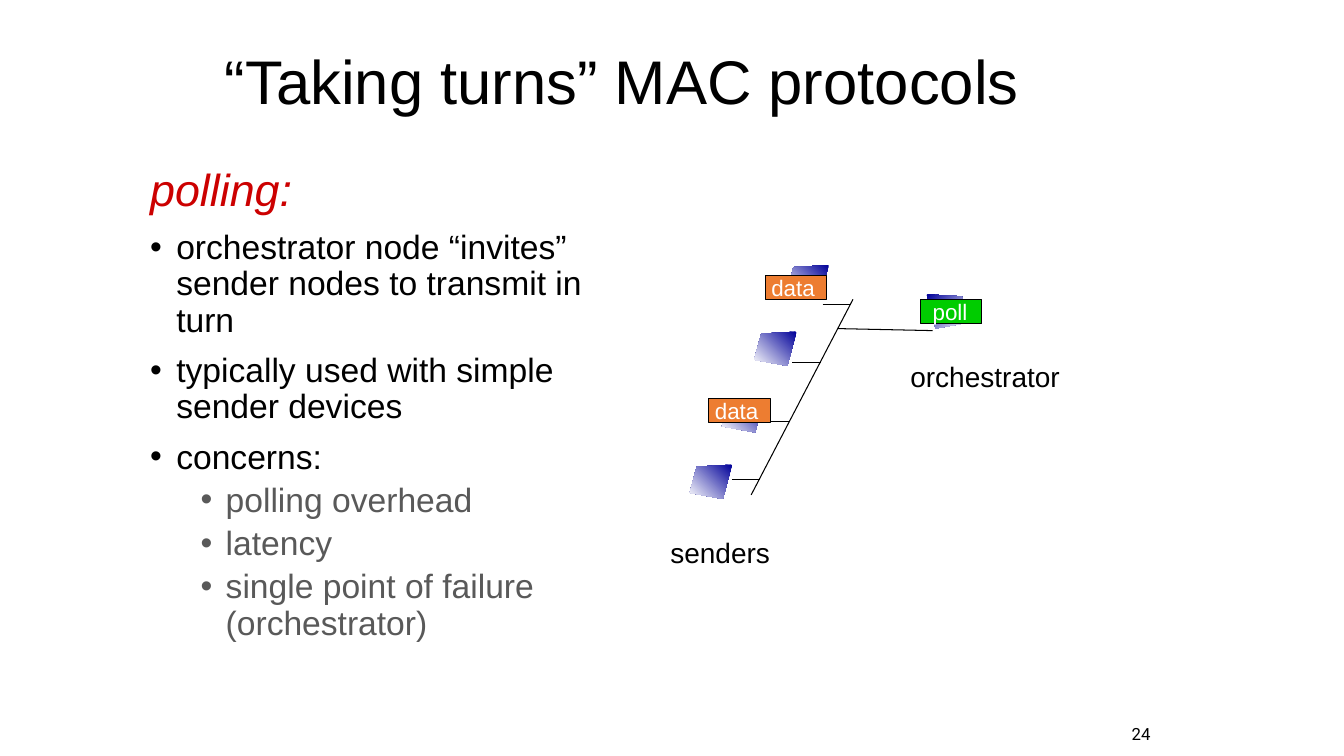
"""Build a slide on polling, a "taking turns" MAC protocol."""
from dataclasses import dataclass

from lxml import etree
from pptx import Presentation
from pptx import util as u
from pptx.dml.color import RGBColor
from pptx.enum import shapes, text
from pptx.oxml.ns import qn

CELL = u.Inches(0.1)
COLUMNS, ROWS = 133.3, 75


@dataclass(frozen=True)
class Theme:
    """Colours, fonts and type sizes of the slide."""
    ink: str = "000000"
    muted: str = "595959"
    accent: str = "CC0000"
    paper: str = "FFFFFF"
    host: str = "000099"
    data: str = "ED7D31"
    poll: str = "00CC00"
    font: str = "Arial"
    number_font: str = "Roboto"
    title: int = 44
    heading: int = 32
    body: int = 24
    label: int = 20
    tag: int = 16
    number: int = 12
    line: float = 0.75


THEME = Theme()


def grid(*cells):
    """Turn counts of grid cells into lengths."""
    return [u.Emu(round(n * CELL)) for n in cells]


def rgb(colour):
    """Return the colour object for a hex value."""
    return RGBColor.from_string(colour)


def write(paragraph, words, *, size, colour=THEME.ink, font=THEME.font,
          italic=False, align=text.PP_ALIGN.LEFT, spacing=1.0, before=0,
          bullet=False, indent=0.0, hang=0.0):
    """Fill a paragraph with formatted words."""
    properties = paragraph._p.get_or_add_pPr()
    properties.set("marL", str(u.Inches(indent)))
    properties.set("indent", str(-u.Inches(hang)))
    paragraph.line_spacing = spacing
    paragraph.space_before = u.Pt(before)
    paragraph.alignment = align
    if bullet:
        face = etree.SubElement(properties, qn("a:buFont"))
        face.set("typeface", THEME.font)
        etree.SubElement(properties, qn("a:buChar")).set("char", "•")
    run = paragraph.add_run()
    run.text = words
    run.font.size = u.Pt(size)
    run.font.name = font
    run.font.italic = italic
    run.font.color.rgb = rgb(colour)


def add_text(slide, cells, paragraphs, wrap=True, anchor=text.MSO_ANCHOR.TOP):
    """Add a text box holding (words, format) paragraphs."""
    frame = slide.shapes.add_textbox(*grid(*cells)).text_frame
    frame.word_wrap = wrap
    frame.vertical_anchor = anchor
    for index, (words, style) in enumerate(paragraphs):
        paragraph = frame.add_paragraph() if index else frame.paragraphs[0]
        write(paragraph, words, **style)


def add_wire(slide, start, end):
    """Add a thin line between two grid points."""
    wire = slide.shapes.add_connector(
        shapes.MSO_CONNECTOR.STRAIGHT, *grid(*start, *end))
    wire.line.color.rgb = rgb(THEME.ink)
    wire.line.width = u.Pt(THEME.line)
    etree.SubElement(wire._element.spPr, qn("a:effectLst"))


def add_host(slide, left, top, mirrored=False):
    """Add a shaded tilted screen standing for a node."""
    outline = [(4.2, 0), (0.7, 0.2), (0, 2.8), (3.3, 3.4)]
    if mirrored:
        outline = [(4.2 - x, y) for x, y in outline]
    corners = [grid(left + x, top + y) for x, y in outline]
    builder = slide.shapes.build_freeform(*corners[0])
    builder.add_line_segments(corners[1:])
    host = builder.convert_to_shape()
    host.shadow.inherit = False
    host.line.fill.background()
    host.fill.gradient()
    host.fill.gradient_angle = 315 if mirrored else 225
    for stop, colour, position in zip(
            host.fill.gradient_stops, (THEME.host, THEME.paper), (0, 1)):
        stop.color.rgb = rgb(colour)
        stop.position = position


def add_tag(slide, left, top, words, colour, inset):
    """Add a coloured message tag."""
    tag = slide.shapes.add_shape(
        shapes.MSO_SHAPE.RECTANGLE, *grid(left, top, 6.1, 2.4))
    tag.shadow.inherit = False
    tag.fill.solid()
    tag.fill.fore_color.rgb = rgb(colour)
    tag.line.color.rgb = rgb(THEME.ink)
    tag.line.width = u.Pt(THEME.line)
    frame = tag.text_frame
    frame.word_wrap = False
    frame.vertical_anchor = text.MSO_ANCHOR.MIDDLE
    frame.margin_left, frame.margin_right = grid(inset, 0)
    frame.margin_top = frame.margin_bottom = 0
    write(frame.paragraphs[0], words, size=THEME.tag, colour=THEME.paper)


def add_points(slide):
    """Add the heading, bullets and sub-bullets on polling."""
    heading = dict(size=THEME.heading, colour=THEME.accent, italic=True,
                   spacing=0.9, indent=0.25, hang=0.25)
    point = dict(size=THEME.body, spacing=0.9, before=10, bullet=True,
                 indent=0.26, hang=0.26)
    concern = dict(point, colour=THEME.muted, before=5, indent=0.75, hang=0.25)
    add_text(slide, (13.9, 16.2, 48.2, 56.6), [
        ("polling:", heading),
        ("orchestrator node “invites” sender nodes to transmit in turn", point),
        ("typically used with simple sender devices", point),
        ("concerns:", point),
        ("polling overhead", concern),
        ("latency", concern),
        ("single point of failure (orchestrator)", concern),
    ])


def add_network(slide):
    """Add the shared bus with its senders and orchestrator."""
    for sender in range(4):
        add_host(slide, 68.4 + 3.2 * sender, 46.1 - 6.6 * sender)
        left, level = 72.6 + 3 * sender, 47.6 - 5.8 * sender
        add_wire(slide, (left, level), (left + 2.8, level))
    add_host(slide, 91.9, 29.2, mirrored=True)
    add_wire(slide, (84.6, 29.7), (74.5, 49.1))
    add_wire(slide, (83.1, 32.6), (92.5, 32.8))

    label = dict(size=THEME.label)
    add_text(slide, (89.3, 35.2, 17, 4.4), [("orchestrator", label)], wrap=False)
    add_text(slide, (65.5, 52.6, 12, 4.4), [("senders", label)], wrap=False)

    add_tag(slide, 91.3, 29.7, "poll", THEME.poll, 1.2)
    for left, top in ((70.3, 39.5), (75.9, 27.3)):
        add_tag(slide, left, top, "data", THEME.data, 0.6)


def main():
    """Build and save the slide."""
    deck = Presentation()
    deck.slide_width, deck.slide_height = grid(COLUMNS, ROWS)
    slide = deck.slides.add_slide(deck.slide_layouts[6])
    add_points(slide)
    add_network(slide)
    add_text(slide, (21.3, 2.1, 85, 12.5),
             [("“Taking turns” MAC protocols",
               dict(size=THEME.title, spacing=0.9))],
             anchor=text.MSO_ANCHOR.MIDDLE)
    add_text(slide, (109.1, 71.3, 6, 3),
             [("24", dict(size=THEME.number, font=THEME.number_font,
                          align=text.PP_ALIGN.RIGHT))],
             anchor=text.MSO_ANCHOR.MIDDLE)
    deck.save("out.pptx")


if __name__ == "__main__":
    main()
